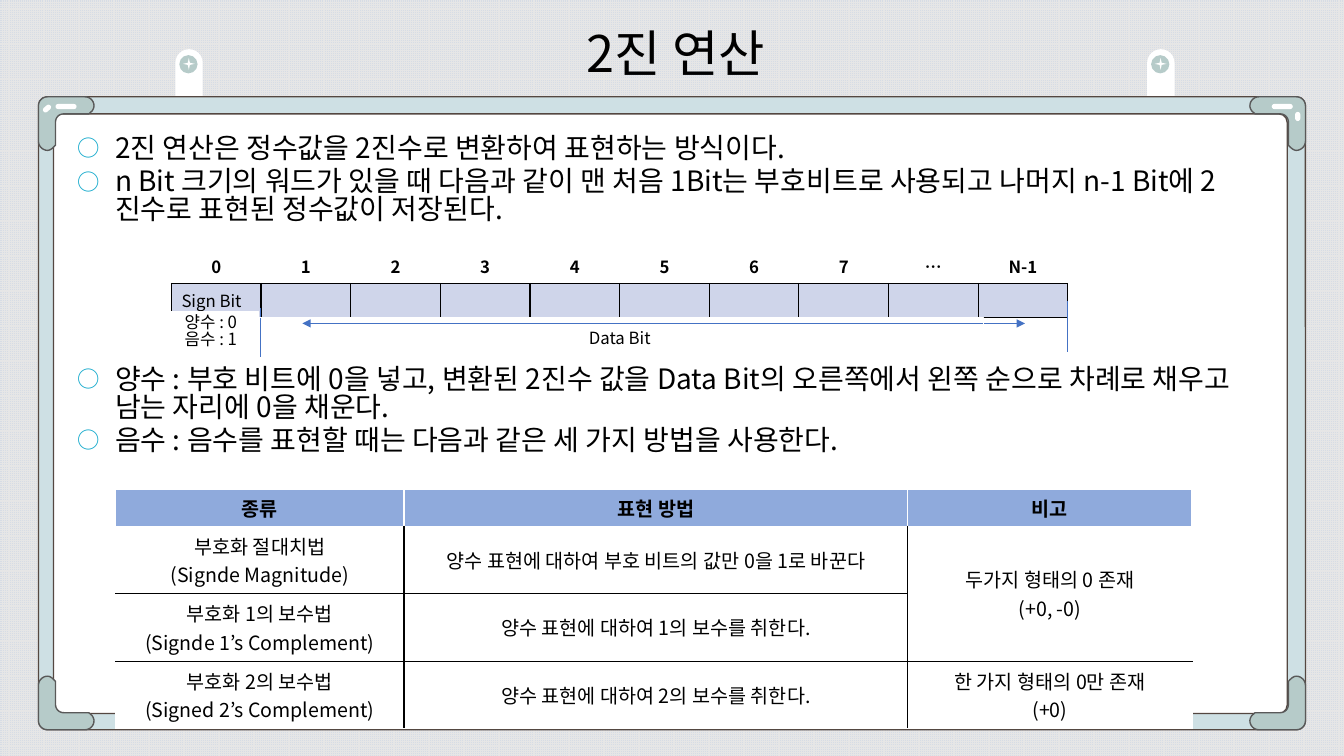
from lxml import etree
from pptx import Presentation
from pptx import util as u
from pptx.dml.color import RGBColor
from pptx.enum import dml, shapes, text
from pptx.oxml.ns import qn

FONT = "Noto Sans CJK KR"
S = shapes.MSO_SHAPE
CENTER, LEFT = text.PP_ALIGN.CENTER, text.PP_ALIGN.LEFT
MIDDLE, TOP = text.MSO_ANCHOR.MIDDLE, text.MSO_ANCHOR.TOP
BLACK, WHITE, BLUE, SAGE = "000000", "FFFFFF", "4472C4", "B6CBC9"

TITLE = "2진 연산"
BODY = [
    (3.3, ["2진 연산은 정수값을 2진수로 변환하여 표현하는 방식이다.",
           "n Bit 크기의 워드가 있을 때 다음과 같이 맨 처음 1Bit는 부호비트로 사용되고 "
           "나머지 n-1 Bit에 2진수로 표현된 정수값이 저장된다."]),
    (9.12, ["양수 : 부호 비트에 0을 넣고, 변환된 2진수 값을 Data Bit의 오른쪽에서 "
            "왼쪽 순으로 차례로 채우고 남는 자리에 0을 채운다.",
            "음수 : 음수를 표현할 때는 다음과 같은 세 가지 방법을 사용한다."]),
]
BITS = ["0", "1", "2", "3", "4", "5", "6", "7", "…", "N-1"]
WORD = [BITS, ["Sign Bit"] + [""] * 9]
SIGNS = ["양수 : 0", "음수 : 1"]
METHODS = [
    ["종류", "표현 방법", "비고"],
    ["부호화 절대치법\n(Signde Magnitude)",
     "양수 표현에 대하여 부호 비트의 값만 0을 1로 바꾼다", "두가지 형태의 0 존재\n(+0, -0)"],
    ["부호화 1의 보수법\n(Signde 1’s Complement)",
     "양수 표현에 대하여 1의 보수를 취한다.", ""],
    ["부호화 2의 보수법\n(Signed 2’s Complement)",
     "양수 표현에 대하여 2의 보수를 취한다.", "한 가지 형태의 0만 존재\n(+0)"],
]
HOOKS = [4.42, 28.91]
HOOK_PARTS = [(S.ROUND_2_SAME_RECTANGLE, 0, 1.24, 0.69, 1.22, WHITE, [0.5, 0]),
              (S.OVAL, 0.1, 1.39, 0.46, 0.46, SAGE, []),
              (S.STAR_4_POINT, 0.19, 1.46, 0.3, 0.3, WHITE, [])]
FRAME = [(0.97, 2.44, 31.93, 15.95, "CEE0E4"), (1.35, 2.87, 31.09, 15.11, WHITE)]
CORNER = [((0.23, 0),), ((1.17, 0),), ((1.3, 0), (1.4, 0.1), (1.4, 0.23)),
          ((1.4, 0.28), (1.37, 0.33), (1.35, 0.36)), ((1.27, 0.43),), ((0.64, 0.43),),
          ((0.51, 0.43), (0.43, 0.53), (0.43, 0.64)), ((0.43, 1.22),), ((0.38, 1.27),),
          ((0.33, 1.32), (0.28, 1.35), (0.23, 1.35)),
          ((0.1, 1.35), (0, 1.24), (0, 1.12)), ((0, 0.23),),
          ((0, 0.1), (0.1, 0), (0.23, 0))]
GLINTS = [(1.4, 2.62, 0.53, 0), (1.07, 2.67, 0.23, 319.2),
          (32.05, 2.62, 0.53, 0), (32.59, 2.87, 0.23, 270)]
LINES = [(6.55, 7.75, 6.55, 9.02, False), (26.9, 7.59, 26.9, 8.86, False),
         (7.62, 8.15, 25.83, 8.15, True)]

prs = Presentation()
prs.slide_width, prs.slide_height = u.Cm(33.87), u.Cm(19.05)
s = prs.slides.add_slide(prs.slide_layouts[6])


def color(h):
    return RGBColor.from_string(h)


def cms(*values):
    return [u.Cm(v) for v in values]


def paint(sp, fill=None, line=None):
    sp.shadow.inherit = False
    if fill:
        sp.fill.solid()
        sp.fill.fore_color.rgb = color(fill)
    else:
        sp.fill.background()
    if line:
        sp.line.color.rgb = color(line)
        sp.line.width = u.Pt(1)
    else:
        sp.line.fill.background()


def shape(kind, box, fill=None, line=None, adj=()):
    sp = s.shapes.add_shape(kind, *cms(*box))
    for i, a in enumerate(adj):
        sp.adjustments[i] = a
    paint(sp, fill, line)
    return sp


def write(tf, lines, size, bold=False, **fmt):
    tf.word_wrap = True
    for i, line in enumerate(lines):
        p = tf.paragraphs[0] if i == 0 else tf.add_paragraph()
        for k, v in fmt.items():
            setattr(p, k, v)
        if not line:
            p._p.get_or_add_endParaRPr().set("sz", str(size * 100))
            continue
        r = p.add_run()
        r.text = line
        for k, v in {"size": u.Pt(size), "name": FONT, "bold": bold}.items():
            setattr(r.font, k, v)
        r.font.color.rgb = color(BLACK)
        etree.SubElement(r._r.rPr, qn("a:ea")).set("typeface", FONT)


def textbox(box, anchor=TOP):
    tf = s.shapes.add_textbox(*cms(*box)).text_frame
    tf.vertical_anchor = anchor
    return tf


def bullet(p):
    pPr = p._p.get_or_add_pPr()
    pPr.set("marL", str(u.Cm(0.95)))
    pPr.set("indent", str(-u.Cm(0.95)))
    clr = etree.SubElement(pPr, qn("a:buClr"))
    etree.SubElement(clr, qn("a:srgbClr")).set("val", "10A8CB")
    for tag, k, v in [("a:buSzPct", "val", "80000"), ("a:buFont", "typeface", FONT),
                      ("a:buChar", "char", "○")]:
        etree.SubElement(pPr, qn(tag)).set(k, v)


def borders(cell, sides):
    tcPr = cell._tc.get_or_add_tcPr()
    for side, h in zip("LRTB", sides):
        ln = etree.SubElement(tcPr, qn("a:ln" + side), w=str(u.Pt(1)))
        fill = etree.SubElement(ln, qn("a:solidFill"))
        etree.SubElement(fill, qn("a:srgbClr")).set("val", h)


def table(rows, left, top, widths, heights, size, style):
    box = cms(left, top, sum(widths), sum(heights))
    t = s.shapes.add_table(len(rows), len(widths), *box).table
    t.first_row = t.horz_banding = False
    for col, w in zip(t.columns, widths):
        col.width = u.Cm(w)
    for i, (row, h) in enumerate(zip(rows, heights)):
        t.rows[i].height = u.Cm(h)
        for j, label in enumerate(row):
            cell = t.cell(i, j)
            fill, sides, anchor, align = style(i, j)
            borders(cell, sides)
            cell.fill.solid()
            cell.fill.fore_color.rgb = color(fill)
            cell.vertical_anchor = anchor
            write(cell.text_frame, label.split("\n"), size, bold=i == 0, alignment=align)
    return t


def word_style(i, j):
    if i == 0:
        return WHITE, [WHITE] * 3 + [BLACK], TOP, CENTER
    return "CFD5EA", [BLACK] * 4, TOP, LEFT


def method_style(i, j):
    if i == 0:
        return "8FAADC", [WHITE] * 4, MIDDLE, CENTER
    inner = [j > 0, j < 2, i > 1, i < 3]
    return WHITE, [BLACK if x else WHITE for x in inner], MIDDLE, CENTER


def corner_points():
    pts = [CORNER[0][0]]
    for step in CORNER[1:]:
        if len(step) == 1:
            pts.append(step[0])
            continue
        curve = [pts[-1], *step]
        for t in (n / 8 for n in range(1, 9)):
            weights = ((1 - t) ** 3, 3 * t * (1 - t) ** 2, 3 * t * t * (1 - t), t ** 3)
            pts.append(tuple(sum(w * c[a] for w, c in zip(weights, curve)) for a in (0, 1)))
    return pts


bg = s.background.fill
bg.patterned()
bg.pattern = dml.MSO_PATTERN.SMALL_GRID
bg.fore_color.rgb, bg.back_color.rgb = color("E6E6E6"), color("D6DCE5")

for x in HOOKS:
    for kind, dx, y, w, h, fill, adj in HOOK_PARTS:
        shape(kind, (x + dx, y, w, h), fill, adj=adj)
for *box, fill in FRAME:
    shape(S.ROUNDED_RECTANGLE, box, fill, "544741", [0.014])
x0, y0, w0, h0, _ = FRAME[0]
for cx, dx in ((x0, 1), (x0 + w0, -1)):
    for cy, dy in ((y0, 1), (y0 + h0, -1)):
        pts = [(u.Cm(cx + dx * x), u.Cm(cy + dy * y)) for x, y in corner_points()]
        fb = s.shapes.build_freeform(*pts[0])
        fb.add_line_segments(pts[1:], close=True)
        paint(fb.convert_to_shape(), SAGE, "595959")
for x, y, w, turn in GLINTS:
    shape(S.ROUNDED_RECTANGLE, (x, y, w, 0.13), WHITE, adj=[0.5]).rotation = turn

write(textbox((5.18, 0.38, 23.7, 2.08), MIDDLE), [TITLE], 36,
      alignment=CENTER, line_spacing=0.9)
for top, lines in BODY:
    tf = textbox((1.7, top, 30.48, 2.9))
    write(tf, lines, 20, line_spacing=0.83, space_before=u.Pt(4))
    for p in tf.paragraphs:
        bullet(p)

table(WORD, 4.32, 6.27, [2.26] * 10, [0.87] * 2, 12, word_style)
sp = shape(S.RECTANGLE, (4.11, 7.85, 2.41, 1.02), WHITE, WHITE)
write(sp.text_frame, SIGNS, 12, alignment=CENTER, line_spacing=0.83)
for x1, y1, x2, y2, arrows in LINES:
    c = s.shapes.add_connector(shapes.MSO_CONNECTOR.STRAIGHT, *cms(x1, y1, x2, y2))
    c.line.color.rgb = color(BLUE)
    c.line.width = u.Pt(0.5)
    etree.SubElement(c._element.spPr, qn("a:effectLst"))
    for end in ("a:headEnd", "a:tailEnd") if arrows else ():
        etree.SubElement(c.line._get_or_add_ln(), qn(end)).set("type", "triangle")
sp = shape(S.RECTANGLE, (6.45, 8, 18.34, 1.02), line=WHITE)
write(sp.text_frame, ["Data Bit"], 12, alignment=CENTER)

t = table(METHODS, 2.92, 12.32, [7.26, 12.7, 7.16], [0.94] + [1.7] * 3, 14, method_style)
t.cell(1, 2).merge(t.cell(2, 2))

prs.save("out.pptx")
